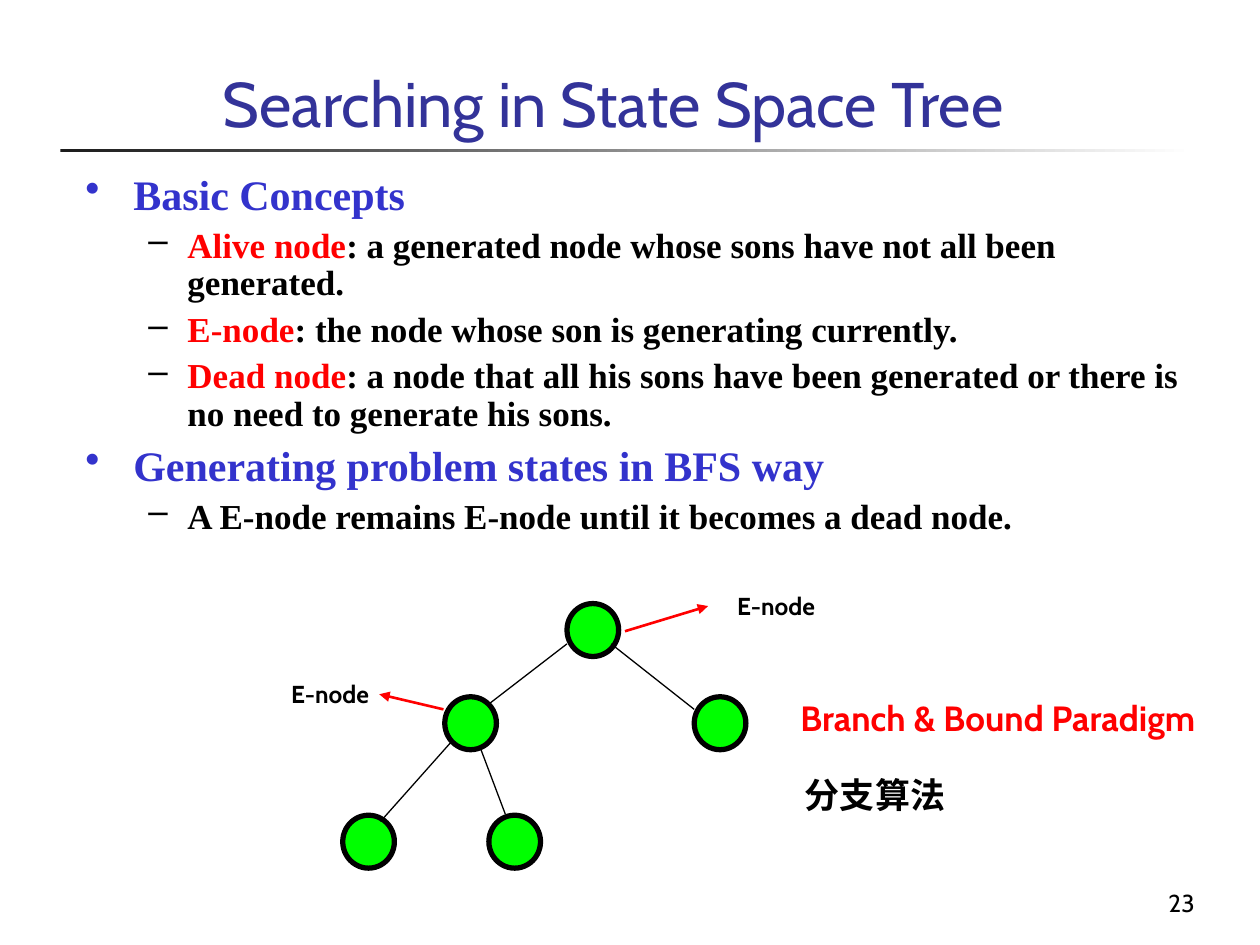
import pptx
import pptx.util
import pptx.dml.color
import pptx.enum.shapes
import pptx.enum.text
from lxml import etree
from pptx.oxml.ns import qn

WIDTH, HEIGHT = 10, 7.5
HEADING_FONT, BODY_FONT = "Cabin", "Times New Roman"
BLACK, RED, BLUE, NAVY, GREEN = "000000", "FF0000", "3333CC", "333399", "00FF00"
ALIGN = pptx.enum.text.PP_ALIGN
ANCHOR = pptx.enum.text.MSO_ANCHOR
SHAPES = pptx.enum.shapes.MSO_SHAPE

NODE_SIZE = (0.41, 0.42)
LEVEL_TOPS = (4.79, 5.53, 6.47)
NODES = [(4.5, 0), (3.53, 1), (5.51, 1), (2.72, 2), (3.88, 2)]  # left, tree level
EDGES = [
    ((4.5, 5.11), (3.89, 5.58)),
    ((4.85, 5.11), (5.51, 5.63)),
    ((3.58, 5.89), (3.02, 6.52)),
    ((3.81, 5.93), (4.01, 6.46)),
]
OUTLINE = [
    (0, [("Basic Concepts", BLUE)]),
    (1, [("Alive node", RED),
         (": a generated node whose sons have not all been generated.", BLACK)]),
    (1, [("E-node", RED), (": the node whose son is generating currently.", BLACK)]),
    (1, [("Dead node", RED),
         (": a node that all his sons have been generated or there is no need"
          " to generate his sons.", BLACK)]),
    (0, [("Generating problem states in BFS way", BLUE)]),
    (1, [("A E-node remains E-node until it becomes a dead node.", BLACK)]),
]
# Per outline level: bullet, bullet colour, indent, hanging, size, space before
LEVELS = [("•", BLUE, 0.38, 0.38, 24, 6), ("–", BLACK, 0.81, 0.31, 20, 5)]


def color(value):
    return pptx.dml.color.RGBColor.from_string(value)


def inches(*lengths):
    return [pptx.util.Inches(length) for length in lengths]


def add_run(paragraph, text, size, fill, font=HEADING_FONT, bold=False):
    run = paragraph.add_run()
    run.text = text
    run.font.size = pptx.util.Pt(size)
    run.font.name = font
    run.font.bold = bold
    run.font.color.rgb = color(fill)


def add_box(slide, box, anchor=ANCHOR.TOP, wrap=True, margins=(0.1, 0.05, 0.1, 0.05)):
    """Add an empty text box and return its text frame."""
    frame = slide.shapes.add_textbox(*inches(*box)).text_frame
    frame.word_wrap = wrap
    frame.vertical_anchor = anchor
    (frame.margin_left, frame.margin_top,
     frame.margin_right, frame.margin_bottom) = inches(*margins)
    return frame


def add_label(slide, text, box, size, fill=BLACK, align=ALIGN.CENTER, bold=True, **options):
    paragraph = add_box(slide, box, **options).paragraphs[0]
    paragraph.alignment = align
    add_run(paragraph, text, size, fill, bold=bold)


def set_bullet(paragraph, character, fill, indent, hanging):
    properties = paragraph._p.get_or_add_pPr()
    properties.set("marL", str(pptx.util.Inches(indent)))
    properties.set("indent", str(-pptx.util.Inches(hanging)))
    bullet_color = etree.SubElement(properties, qn("a:buClr"))
    etree.SubElement(bullet_color, qn("a:srgbClr"), val=fill)
    etree.SubElement(properties, qn("a:buChar"), char=character)


def add_outline(slide, box):
    frame = add_box(slide, box)
    for index, (level, runs) in enumerate(OUTLINE):
        character, bullet_color, indent, hanging, size, space = LEVELS[level]
        paragraph = frame.add_paragraph() if index else frame.paragraphs[0]
        paragraph.level = level
        paragraph.line_spacing = 0.9
        paragraph.space_before = pptx.util.Pt(space if index else 0)
        set_bullet(paragraph, character, bullet_color, indent, hanging)
        for text, fill in runs:
            add_run(paragraph, text, size, fill, BODY_FONT, bold=True)


def add_rule(slide):
    """Add the bar under the title, fading to the right."""
    rule = slide.shapes.add_shape(SHAPES.RECTANGLE, *inches(0.48, 1.18, 9, 0.03))
    rule.shadow.inherit = False
    rule.line.fill.background()
    rule.fill.gradient()
    rule.fill.gradient_angle = 0
    for stop, fill in zip(rule.fill.gradient_stops, ("1C1C1C", "FFFFFF")):
        stop.color.rgb = color(fill)


def add_node(slide, left, level):
    node = slide.shapes.add_shape(SHAPES.OVAL, *inches(left, LEVEL_TOPS[level], *NODE_SIZE))
    node.shadow.inherit = False
    node.fill.solid()
    node.fill.fore_color.rgb = color(GREEN)
    node.line.color.rgb = color(BLACK)
    node.line.width = pptx.util.Pt(3)


def add_line(slide, start, end, fill=BLACK, width=0.75, arrow=False):
    line = slide.shapes.add_connector(
        pptx.enum.shapes.MSO_CONNECTOR.STRAIGHT, *inches(*start, *end))
    line.line.color.rgb = color(fill)
    line.line.width = pptx.util.Pt(width)
    if arrow:
        etree.SubElement(line.line._get_or_add_ln(), qn("a:tailEnd"), type="triangle")
    etree.SubElement(line._element.spPr, qn("a:effectLst"))


def add_callout(slide, box, start, end, align, right_margin):
    add_line(slide, start, end, RED, 1.5, arrow=True)
    add_label(slide, "E-node", box, 14, align=align, margins=(0, 0, right_margin, 0.05))


def add_tree(slide):
    for left, level in NODES:
        add_node(slide, left, level)
    for start, end in EDGES:
        add_line(slide, start, end)
    add_callout(slide, (5.71, 4.69, 1, 0.29), (4.96, 5.01), (5.62, 4.81), ALIGN.CENTER, 0.1)
    add_callout(slide, (1.93, 5.39, 1, 0.29), (3.52, 5.63), (3.01, 5.51), ALIGN.RIGHT, 0)


def main():
    presentation = pptx.Presentation()
    presentation.slide_width, presentation.slide_height = inches(WIDTH, HEIGHT)
    slide = presentation.slides.add_slide(presentation.slide_layouts[6])
    add_rule(slide)
    add_label(slide, "23", (7.5, 6.83, 2.08, 0.5), 14, align=ALIGN.RIGHT,
              bold=False, anchor=ANCHOR.BOTTOM)
    add_label(slide, "Searching in State Space Tree", (1.67, 0.17, 7.86, 0.99), 36, NAVY,
              align=ALIGN.LEFT, bold=False, anchor=ANCHOR.BOTTOM)
    add_outline(slide, (0.58, 1.33, 9, 3.44))
    add_tree(slide)
    add_label(slide, "Branch & Bound Paradigm", (5.99, 5.48, 3.86, 0.44), 20, RED, wrap=False)
    add_label(slide, "分支算法", (6.29, 6.09, 1.31, 0.44), 20, wrap=False)
    presentation.save("out.pptx")


if __name__ == "__main__":
    main()
